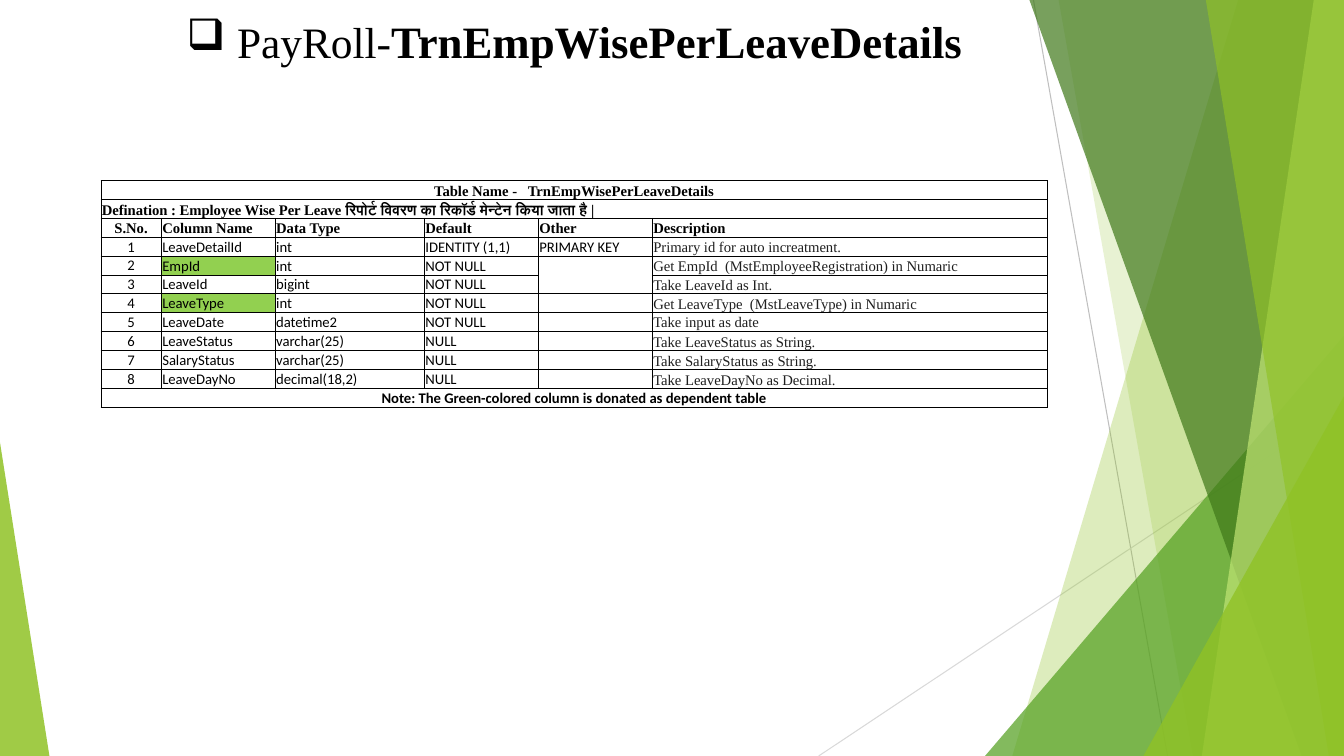
from dataclasses import dataclass

from lxml import etree
from pptx import Presentation
from pptx.dml.color import RGBColor
from pptx.enum.shapes import MSO_CONNECTOR, MSO_SHAPE
from pptx.enum.text import MSO_ANCHOR, MSO_AUTO_SIZE, PP_ALIGN
from pptx.oxml.ns import qn
from pptx.util import Inches, Pt

STRAIGHT = MSO_CONNECTOR.STRAIGHT
TRIANGLE = MSO_SHAPE.ISOSCELES_TRIANGLE
MIDDLE, BOTTOM = MSO_ANCHOR.MIDDLE, MSO_ANCHOR.BOTTOM
LEFT, CENTER = PP_ALIGN.LEFT, PP_ALIGN.CENTER
GROW = MSO_AUTO_SIZE.SHAPE_TO_FIT_TEXT
PAGE_WIDTH, PAGE_HEIGHT = 13.33, 7.5


@dataclass(frozen=True)
class Theme:
    black: str = "000000"
    description: str = "1F1F1F"
    dependent: str = "92D050"
    lime: str = "90C226"
    pale_lime: str = "C0E474"
    green: str = "54A021"
    dark_green: str = "3F7819"
    grey: str = "BFBFBF"
    light_grey: str = "D9D9D9"
    serif: str = "Times New Roman"
    sans: str = "Calibri"
    title_prefix: float = 31
    title_name: float = 32
    body: float = 10.5
    border: float = 0.5
    ray: float = 0.75


THEME = Theme()


@dataclass(frozen=True)
class Ray:
    start: tuple[float, float]
    end: tuple[float, float]
    color: str


@dataclass(frozen=True)
class Band:
    top: float
    bottom: float
    color: str
    opacity: int


@dataclass(frozen=True)
class Wedge:
    left: float
    top: float
    width: float
    apex: float
    color: str
    opacity: int


@dataclass(frozen=True)
class Field:
    name: str
    data_type: str
    default: str
    other: str
    description: str
    dependent: bool = False


RAYS = [
    Ray((10.25, 0), (11.58, PAGE_HEIGHT), THEME.grey),
    Ray((PAGE_WIDTH, 4.03), (8.12, PAGE_HEIGHT), THEME.light_grey),
]
FACETS = [
    Band(12.28, 10.04, THEME.lime, 30),
    Band(10.5, 11.83, THEME.lime, 20),
    Wedge(9.77, 3.33, 3.56, 1, THEME.green, 72),
    Band(10.21, 12.91, THEME.dark_green, 70),
    Band(13.03, 11.92, THEME.pale_lime, 70),
    Band(11.96, 13.18, THEME.lime, 65),
    Wedge(11.34, 3.93, 1.99, 1, THEME.lime, 80),
    Wedge(0, 4.39, 0.49, 0, THEME.lime, 85),
]
COLUMN_WIDTHS = [0.6, 1.13, 1.48, 1.13, 1.13, 3.92]
ROW_HEIGHT = 0.1875
HEADINGS = ["S.No.", "Column Name", "Data Type", "Default", "Other", "Description"]
TABLE_NAME = "Table Name -   TrnEmpWisePerLeaveDetails"
DEFINITION = "Defination : Employee Wise Per Leave रिपोर्ट विवरण का रिकॉर्ड मेन्टेन किया जाता है |"
NOTE = "Note: The Green-colored column is donated as dependent table"
FIELDS = [
    Field("LeaveDetailId", "int", "IDENTITY (1,1)", "PRIMARY KEY", "Primary id for auto increatment."),
    Field("EmpId", "int", "NOT NULL", "", "Get EmpId  (MstEmployeeRegistration) in Numaric", True),
    Field("LeaveId", "bigint", "NOT NULL", "", "Take LeaveId as Int."),
    Field("LeaveType", "int", "NOT NULL", "", "Get LeaveType  (MstLeaveType) in Numaric", True),
    Field("LeaveDate", "datetime2", "NOT NULL", "", "Take input as date"),
    Field("LeaveStatus", "varchar(25)", "NULL", "", "Take LeaveStatus as String."),
    Field("SalaryStatus", "varchar(25)", "NULL", "", "Take SalaryStatus as String."),
    Field("LeaveDayNo", "decimal(18,2)", "NULL", "", "Take LeaveDayNo as Decimal."),
]
FIRST_FIELD_ROW = 3
OPEN_SIDES = {(4, 4): "B", (5, 4): "T"}


def apply_format(target, values: dict) -> None:
    for name, value in values.items():
        setattr(target, name, value)


def add_span(para, text: str, size: float, font: str, color: str, bold: bool) -> None:
    span = para.add_run()
    span.text = text
    apply_format(span.font, {"size": Pt(size), "name": font, "bold": bold})
    span.font.color.rgb = RGBColor.from_string(color)


def draw_ray(page, ray: Ray) -> None:
    ends = [Inches(value) for value in ray.start + ray.end]
    line = page.shapes.add_connector(STRAIGHT, *ends)
    line.line.color.rgb = RGBColor.from_string(ray.color)
    line.line.width = Pt(THEME.ray)
    etree.SubElement(line._element.spPr, qn("a:effectLst"))


def draw_facet(page, facet: Band | Wedge) -> None:
    if isinstance(facet, Band):
        corners = [(PAGE_WIDTH, 0), (PAGE_WIDTH, PAGE_HEIGHT), (facet.bottom, PAGE_HEIGHT)]
        builder = page.shapes.build_freeform(Inches(facet.top), 0)
        builder.add_line_segments([(Inches(x), Inches(y)) for x, y in corners])
        shape = builder.convert_to_shape()
    else:
        shape = page.shapes.add_shape(
            TRIANGLE, Inches(facet.left), Inches(facet.top),
            Inches(facet.width), Inches(PAGE_HEIGHT - facet.top))
        shape.adjustments[0] = facet.apex
    shape.shadow.inherit = False
    shape.fill.solid()
    shape.fill.fore_color.rgb = RGBColor.from_string(facet.color)
    color = shape._element.spPr.find(qn("a:solidFill")).find(qn("a:srgbClr"))
    etree.SubElement(color, qn("a:alpha"), val=str(facet.opacity * 1000))
    shape.line.fill.background()


def write_title(page) -> None:
    title = page.shapes.title
    apply_format(title, {"left": Inches(1.56), "top": Inches(0.08),
                         "width": Inches(8.28), "height": Inches(0.64)})
    apply_format(title.text_frame, {"word_wrap": True, "auto_size": GROW, "vertical_anchor": BOTTOM})
    para = title.text_frame.paragraphs[0]
    para.alignment = CENTER
    properties = para._p.get_or_add_pPr()
    properties.set("marL", str(Inches(0.5)))
    properties.set("indent", str(Inches(-0.5)))
    etree.SubElement(properties, qn("a:buChar"), char="❑")
    add_span(para, "PayRoll-", THEME.title_prefix, THEME.serif, THEME.black, False)
    add_span(para, "TrnEmpWisePerLeaveDetails", THEME.title_name, THEME.serif, THEME.black, True)


def draw_borders(cell, sides: str) -> None:
    properties = cell._tc.get_or_add_tcPr()
    for side in "LRTB":
        line = etree.SubElement(properties, qn(f"a:ln{side}"), w=str(Pt(THEME.border)))
        if side in sides:
            fill = etree.SubElement(line, qn("a:solidFill"))
            etree.SubElement(fill, qn("a:srgbClr"), val=THEME.black)
        else:
            etree.SubElement(line, qn("a:noFill"))


def write_cell(cell, text: str, align, font: str, color: str, bold: bool, anchor) -> None:
    apply_format(cell, {"margin_left": Inches(0.01), "margin_right": Inches(0.01),
                        "margin_top": Inches(0.01), "margin_bottom": 0, "vertical_anchor": anchor})
    para = cell.text_frame.paragraphs[0]
    para.alignment = align
    if text:
        add_span(para, text, THEME.body, font, color, bold)
    else:
        etree.SubElement(para._p, qn("a:endParaRPr"), sz=str(int(THEME.body * 100)))


def draw_table(page) -> None:
    body = [[str(number), field.name, field.data_type, field.default, field.other, field.description]
            for number, field in enumerate(FIELDS, 1)]
    blanks = [""] * (len(HEADINGS) - 1)
    rows = [[TABLE_NAME, *blanks], [DEFINITION, *blanks], HEADINGS, *body, [NOTE, *blanks]]
    merged = {0, 1, len(rows) - 1}
    last = len(HEADINGS) - 1
    frame = page.shapes.add_table(len(rows), len(HEADINGS), Inches(1), Inches(1.79),
                                  Inches(sum(COLUMN_WIDTHS)), Inches(ROW_HEIGHT * len(rows)))
    table = frame.table
    apply_format(table, {"first_row": False, "horz_banding": False})
    for column, width in zip(table.columns, COLUMN_WIDTHS):
        column.width = Inches(width)
    for r, texts in enumerate(rows):
        table.rows[r].height = Inches(ROW_HEIGHT)
        is_field = FIRST_FIELD_ROW <= r < len(rows) - 1
        for c, text in enumerate(texts):
            cell = table.cell(r, c)
            described = is_field and c == last
            serif = r < FIRST_FIELD_ROW or described
            centered = c == 0 and r != 1
            numbered = c == 0 and r not in merged
            write_cell(cell, text, CENTER if centered else LEFT,
                       THEME.serif if serif else THEME.sans,
                       THEME.description if described else THEME.black,
                       not is_field, MIDDLE if numbered or text == "Take input as date" else BOTTOM)
            sides = "LRTB".replace(OPEN_SIDES.get((r, c), "-"), "")
            if r in merged and c > 0:
                sides = "RTB" if c == last else "TB"
            draw_borders(cell, sides)
            if is_field and c == 1 and FIELDS[r - FIRST_FIELD_ROW].dependent:
                cell.fill.solid()
                cell.fill.fore_color.rgb = RGBColor.from_string(THEME.dependent)
            else:
                cell.fill.background()
        if r in merged:
            table.cell(r, 0).merge(table.cell(r, last))


def main() -> None:
    deck = Presentation()
    deck.slide_width, deck.slide_height = Inches(PAGE_WIDTH), Inches(PAGE_HEIGHT)
    page = deck.slides.add_slide(deck.slide_layouts[5])
    for ray in RAYS:
        draw_ray(page, ray)
    for facet in FACETS:
        draw_facet(page, facet)
    write_title(page)
    draw_table(page)
    deck.save("out.pptx")


if __name__ == "__main__":
    main()
